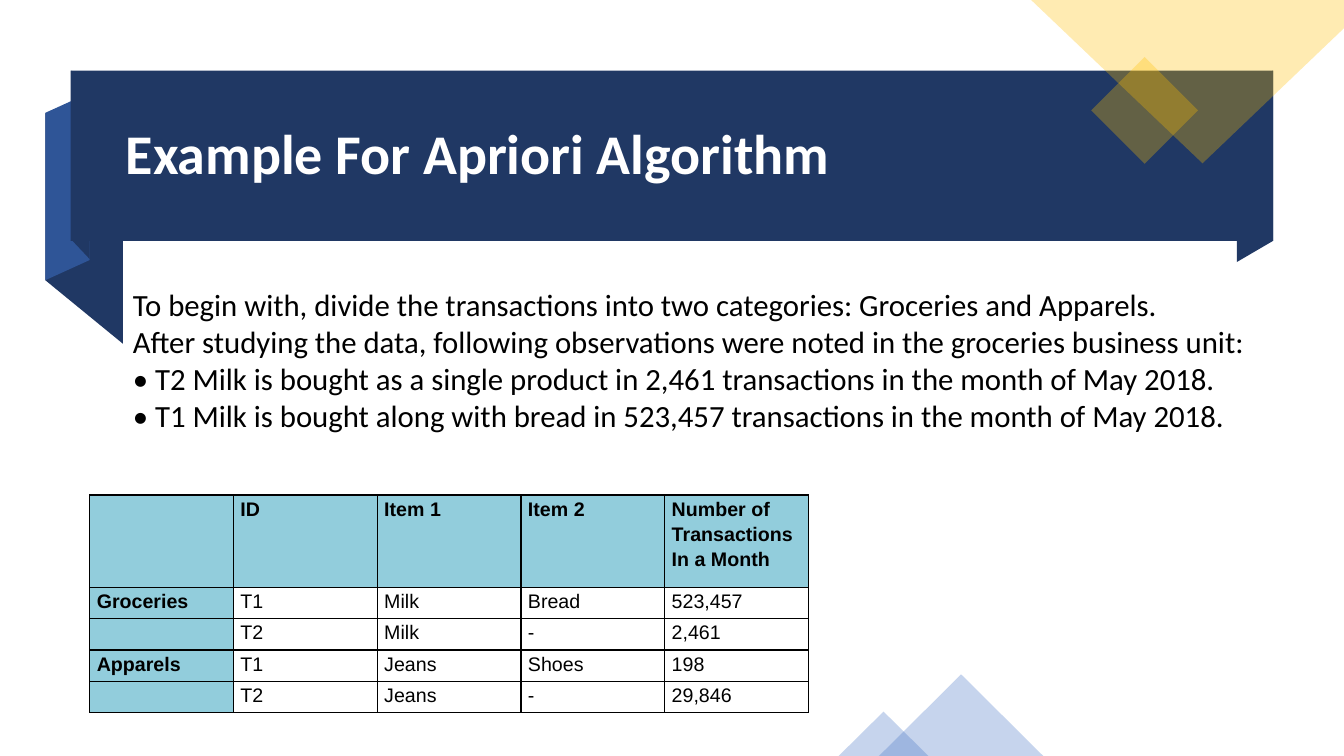
"""Build the Apriori algorithm example slide on a grid of tenth-inch cells."""
from dataclasses import dataclass

from lxml import etree
from pptx import Presentation
from pptx.dml.color import RGBColor
from pptx.enum.shapes import MSO_SHAPE
from pptx.enum.text import MSO_ANCHOR, MSO_AUTO_SIZE
from pptx.oxml.ns import qn
from pptx.util import Inches, Pt

RECTANGLE = MSO_SHAPE.RECTANGLE
TRIANGLE = MSO_SHAPE.ISOSCELES_TRIANGLE
MIDDLE = MSO_ANCHOR.MIDDLE
GROW = MSO_AUTO_SIZE.SHAPE_TO_FIT_TEXT
CELL = Inches(0.1)
COLUMNS, ROWS = 133.33, 75


@dataclass(frozen=True)
class Theme:
    navy: str = "203864"
    blue: str = "2F5597"
    pale_blue: str = "4472C4"
    gold: str = "FFC000"
    teal: str = "92CDDC"
    black: str = "000000"
    white: str = "FFFFFF"
    heading_font: str = "Calibri"
    table_font: str = "Arial"
    title_size: int = 40
    body_size: int = 22
    table_size: int = 14
    border_width: int = 1
    opacity: int = 30


THEME = Theme()


@dataclass(frozen=True)
class Area:
    column: float
    row: float
    columns: float
    rows: float

    def lengths(self) -> tuple[int, ...]:
        return tuple(cells(n) for n in (self.column, self.row, self.columns, self.rows))


@dataclass(frozen=True)
class Outline:
    points: tuple[tuple[float, float], ...]
    color: str
    opacity: int = 100


@dataclass(frozen=True)
class Block:
    preset: int
    area: Area
    color: str
    opacity: int = 100
    rotation: int = 0


@dataclass(frozen=True)
class TextStyle:
    font: str
    size: int
    color: str
    bold: bool = False


def fold(left: float, right: float, left_top: float, right_top: float,
         height: float, color: str) -> Outline:
    """Return a ribbon fold with upright sides of equal height."""
    return Outline(((right, right_top + height), (left, left_top + height),
                    (left, left_top), (right, right_top)), color)


RIBBON_FOLDS = (
    fold(122.7, 126.3, 9.1, 7, 16.9, THEME.navy),
    fold(4.5, 12.2, 11.2, 17.5, 16.6, THEME.navy),
    fold(4.5, 8.9, 11.2, 9.2, 16.6, THEME.blue),
    fold(7.1, 8.9, 7, 8.9, 16.8, THEME.navy),
)
BANNER = Block(RECTANGLE, Area(7, 7, 119.3, 16.9), THEME.navy)
CORNER = Outline(((COLUMNS, 0), (102.3, 0), (119.3, 16.2), (COLUMNS, 2.8)),
                 THEME.gold, THEME.opacity)
ACCENTS = (
    Block(TRIANGLE, Area(87.2, 66.9, 16.3, 8.1), THEME.pale_blue, THEME.opacity),
    Block(TRIANGLE, Area(83.2, 70.6, 8.9, 4.4), THEME.pale_blue, THEME.opacity),
    Block(RECTANGLE, Area(109.8, 7.2, 7.5, 7.5), THEME.gold, THEME.opacity, 45),
)
TITLE_AREA = Area(11.5, 8.3, 112.7, 14.5)
BODY_AREA = Area(12.2, 27.8, 114.1, 15.8)
TABLE_AREA = Area(8.9, 49.1, 71.3, 21.6)
HEADER_ROWS, ITEM_ROWS = 9.2, 3.1

TITLE = "Example For Apriori Algorithm"
BODY = (
    "To begin with, divide the transactions into two categories: Groceries and Apparels.",
    "After studying the data, following observations were noted in the groceries business unit:",
    "• T2 Milk is bought as a single product in 2,461 transactions in the month of May 2018.",
    "• T1 Milk is bought along with bread in 523,457 transactions in the month of May 2018.",
)
TRANSACTIONS = (
    ("", "ID", "Item 1", "Item 2", "Number of\nTransactions\nIn a Month"),
    ("Groceries", "T1", "Milk", "Bread", "523,457"),
    ("", "T2", "Milk", "-", "2,461"),
    ("Apparels", "T1", "Jeans", "Shoes", "198"),
    ("", "T2", "Jeans", "-", "29,846"),
)


def cells(count: float) -> int:
    """Convert a count of grid cells to a length."""
    return round(count * CELL)


def paint(shape, color: str, opacity: int) -> None:
    """Give a shape a flat fill without line or shadow."""
    shape.shadow.inherit = False
    shape.line.fill.background()
    shape.fill.solid()
    shape.fill.fore_color.rgb = RGBColor.from_string(color)
    if opacity < 100:
        fill_color = shape._element.spPr.find(f".//{qn('a:srgbClr')}")
        etree.SubElement(fill_color, qn("a:alpha"), val=str(opacity * 1000))


def draw_outline(slide, outline: Outline) -> None:
    """Draw a closed polygon."""
    start, *rest = [(cells(x), cells(y)) for x, y in outline.points]
    builder = slide.shapes.build_freeform(*start)
    builder.add_line_segments(rest, close=True)
    paint(builder.convert_to_shape(), outline.color, outline.opacity)


def draw_block(slide, block: Block) -> None:
    """Draw a preset shape."""
    shape = slide.shapes.add_shape(block.preset, *block.area.lengths())
    shape.rotation = block.rotation
    paint(shape, block.color, block.opacity)


def format_text(text_frame, style: TextStyle, line_spacing: float = 1.0) -> None:
    """Apply one style to every run of a text frame."""
    for paragraph in text_frame.paragraphs:
        paragraph.line_spacing = line_spacing
        for run in paragraph.runs:
            run.font.name = style.font
            run.font.size = Pt(style.size)
            run.font.bold = style.bold
            run.font.color.rgb = RGBColor.from_string(style.color)


def draw_text(slide, area: Area, text: str, style: TextStyle, line_spacing: float = 1.0):
    """Draw a wrapped, vertically centred text box and return its frame."""
    text_frame = slide.shapes.add_textbox(*area.lengths()).text_frame
    text_frame.word_wrap = True
    text_frame.vertical_anchor = MIDDLE
    text_frame.text = text
    format_text(text_frame, style, line_spacing)
    return text_frame


def draw_borders(cell) -> None:
    """Rule all four sides of a table cell."""
    properties = cell._tc.get_or_add_tcPr()
    for side in ("a:lnL", "a:lnR", "a:lnT", "a:lnB"):
        line = etree.SubElement(properties, qn(side), w=str(Pt(THEME.border_width)))
        fill = etree.SubElement(line, qn("a:solidFill"))
        etree.SubElement(fill, qn("a:srgbClr"), val=THEME.black)


def fill_cell(cell, text: str, is_heading: bool) -> None:
    """Write and format one table cell."""
    cell.margin_left = cell.margin_right = cells(0.7)
    cell.margin_top = cell.margin_bottom = 0
    draw_borders(cell)
    if is_heading:
        cell.fill.solid()
        cell.fill.fore_color.rgb = RGBColor.from_string(THEME.teal)
    else:
        cell.fill.background()
    cell.text_frame.text = text
    style = TextStyle(THEME.table_font, THEME.table_size, THEME.black, is_heading)
    format_text(cell.text_frame, style, 1.15)
    if not text:
        paragraph = cell.text_frame.paragraphs[0]
        etree.SubElement(paragraph._p, qn("a:endParaRPr"), sz=str(THEME.table_size * 100))


def draw_table(slide) -> None:
    """Draw the transaction table with its heading row and column."""
    frame = slide.shapes.add_table(len(TRANSACTIONS), len(TRANSACTIONS[0]), *TABLE_AREA.lengths())
    table = frame.table
    table.first_row = table.horz_banding = False
    for row_number, values in enumerate(TRANSACTIONS):
        table.rows[row_number].height = cells(ITEM_ROWS if row_number else HEADER_ROWS)
        for column_number, text in enumerate(values):
            is_heading = row_number == 0 or column_number == 0
            fill_cell(table.cell(row_number, column_number), text, is_heading)


def main() -> None:
    """Build and save the presentation."""
    presentation = Presentation()
    presentation.slide_width, presentation.slide_height = cells(COLUMNS), cells(ROWS)
    slide = presentation.slides.add_slide(presentation.slide_layouts[6])
    for outline in RIBBON_FOLDS:
        draw_outline(slide, outline)
    draw_block(slide, BANNER)
    title_style = TextStyle(THEME.heading_font, THEME.title_size, THEME.white, True)
    draw_text(slide, TITLE_AREA, TITLE, title_style, 0.9).paragraphs[0].space_after = Pt(6)
    draw_outline(slide, CORNER)
    for accent in ACCENTS:
        draw_block(slide, accent)
    draw_table(slide)
    body_style = TextStyle(THEME.heading_font, THEME.body_size, THEME.black)
    draw_text(slide, BODY_AREA, "\n".join(BODY), body_style).auto_size = GROW
    presentation.save("out.pptx")


if __name__ == "__main__":
    main()
